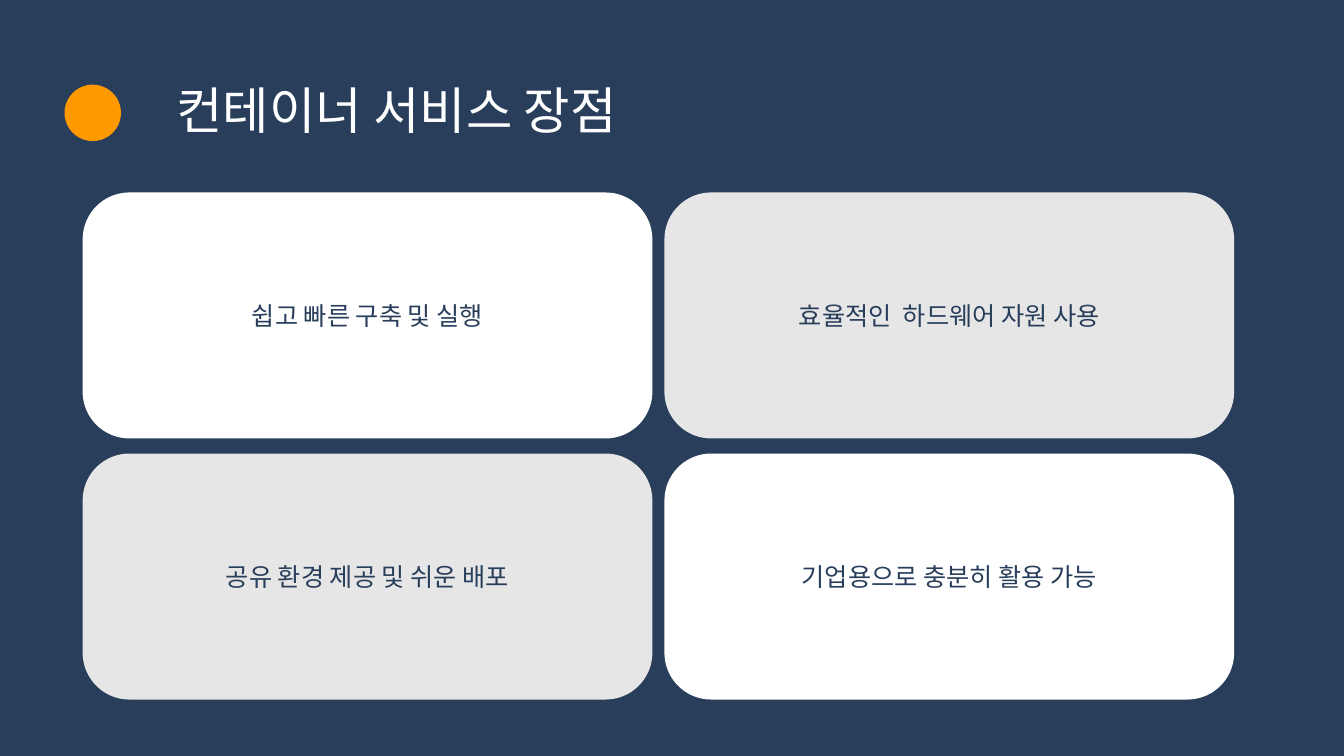
from lxml import etree
from pptx import Presentation
from pptx import util as u
from pptx.dml.color import RGBColor
from pptx.enum import shapes, text
from pptx.oxml.ns import qn

COLORS = {"navy": "283E5B", "orange": "FF9900", "white": "FFFFFF", "gray": "E6E6E6"}
FONT = "Noto Sans CJK KR"


def add_filled_shape(kind, left, top, width, height, color):
    shape = slide.shapes.add_shape(
        kind, u.Inches(left), u.Inches(top), u.Inches(width), u.Inches(height))
    shape.shadow.inherit = False
    shape.fill.solid()
    shape.fill.fore_color.rgb = RGBColor.from_string(COLORS[color])
    shape.line.fill.background()
    return shape


def write_text(shape, wording, size, color, alignment):
    frame = shape.text_frame
    frame.word_wrap = True
    frame.auto_size = text.MSO_AUTO_SIZE.NONE
    frame.vertical_anchor = text.MSO_ANCHOR.MIDDLE
    frame.text = wording
    paragraph = frame.paragraphs[0]
    paragraph.alignment = alignment
    paragraph.font.size = u.Pt(size)
    paragraph.font.name = FONT
    paragraph.font.color.rgb = RGBColor.from_string(COLORS[color])
    # Korean glyphs take the East Asian typeface
    properties = paragraph._p.pPr.find(qn("a:defRPr"))
    etree.SubElement(properties, qn("a:ea"), typeface=FONT)
    return paragraph


presentation = Presentation()
presentation.slide_width = u.Inches(13.33)
presentation.slide_height = u.Inches(7.5)
slide = presentation.slides.add_slide(presentation.slide_layouts[5])
slide.background.fill.solid()
slide.background.fill.fore_color.rgb = RGBColor.from_string(COLORS["navy"])

# Title with its round marker
HEADER_TOP, HEADER_HEIGHT = 0.84, 0.56
add_filled_shape(shapes.MSO_SHAPE.OVAL, 0.64, HEADER_TOP,
                 HEADER_HEIGHT, HEADER_HEIGHT, "orange")
title = slide.shapes.title
title.left, title.top = u.Inches(1.65), u.Inches(HEADER_TOP)
title.width, title.height = u.Inches(5.25), u.Inches(HEADER_HEIGHT)
heading = write_text(title, "컨테이너 서비스 장점", 36, "white", text.PP_ALIGN.LEFT)
heading.line_spacing = 0.9

# Two by two grid of benefits, coloured like a chessboard
GRID_LEFT, GRID_TOP = 0.82, 1.91
CARD_WIDTH, CARD_HEIGHT = 5.65, 2.44
COLUMN_GAP, ROW_GAP = 0.12, 0.15
benefits = [
    ["쉽고 빠른 구축 및 실행", "효율적인  하드웨어 자원 사용"],
    ["공유 환경 제공 및 쉬운 배포", "기업용으로 충분히 활용 가능"],
]
for row, row_benefits in enumerate(benefits):
    for column, benefit in enumerate(row_benefits):
        card = add_filled_shape(
            shapes.MSO_SHAPE.ROUNDED_RECTANGLE,
            GRID_LEFT + column * (CARD_WIDTH + COLUMN_GAP),
            GRID_TOP + row * (CARD_HEIGHT + ROW_GAP),
            CARD_WIDTH, CARD_HEIGHT,
            "gray" if (row + column) % 2 else "white")
        card.adjustments[0] = 0.19
        write_text(card, benefit, 18, "navy", text.PP_ALIGN.CENTER)

presentation.save("out.pptx")
